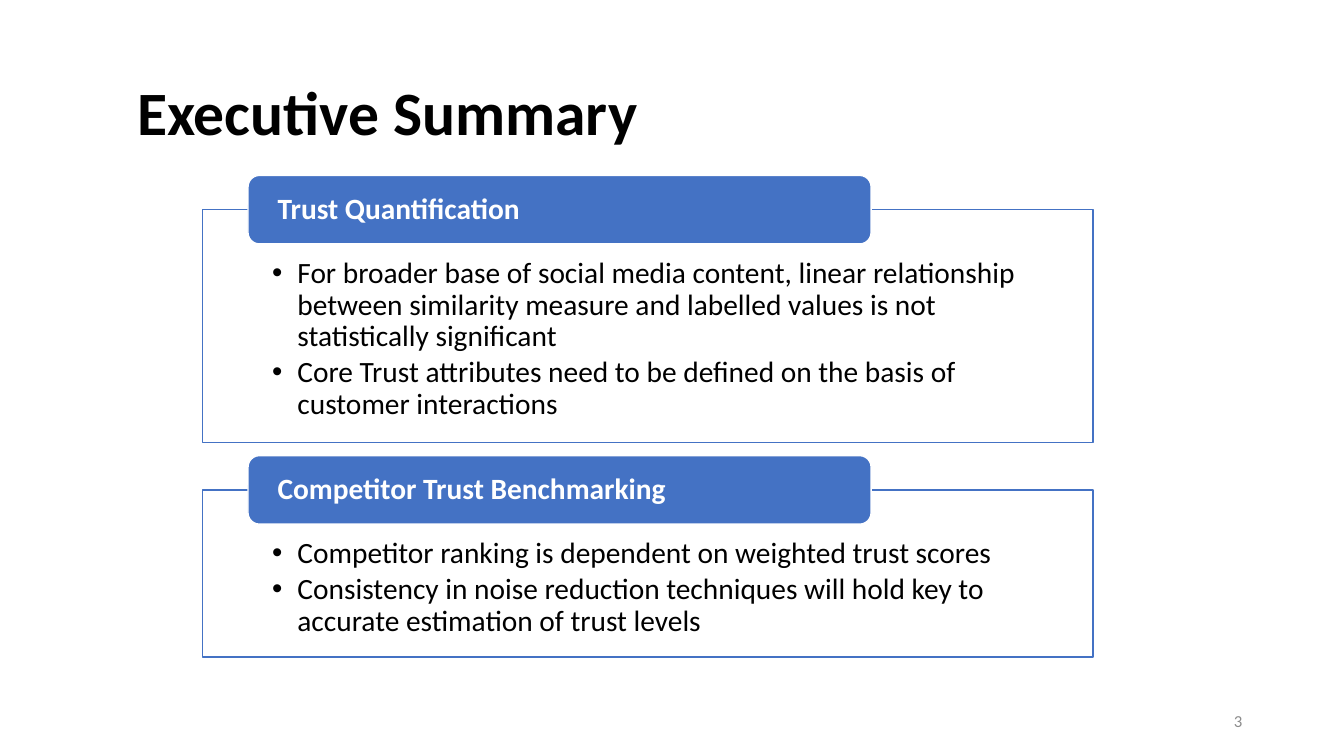
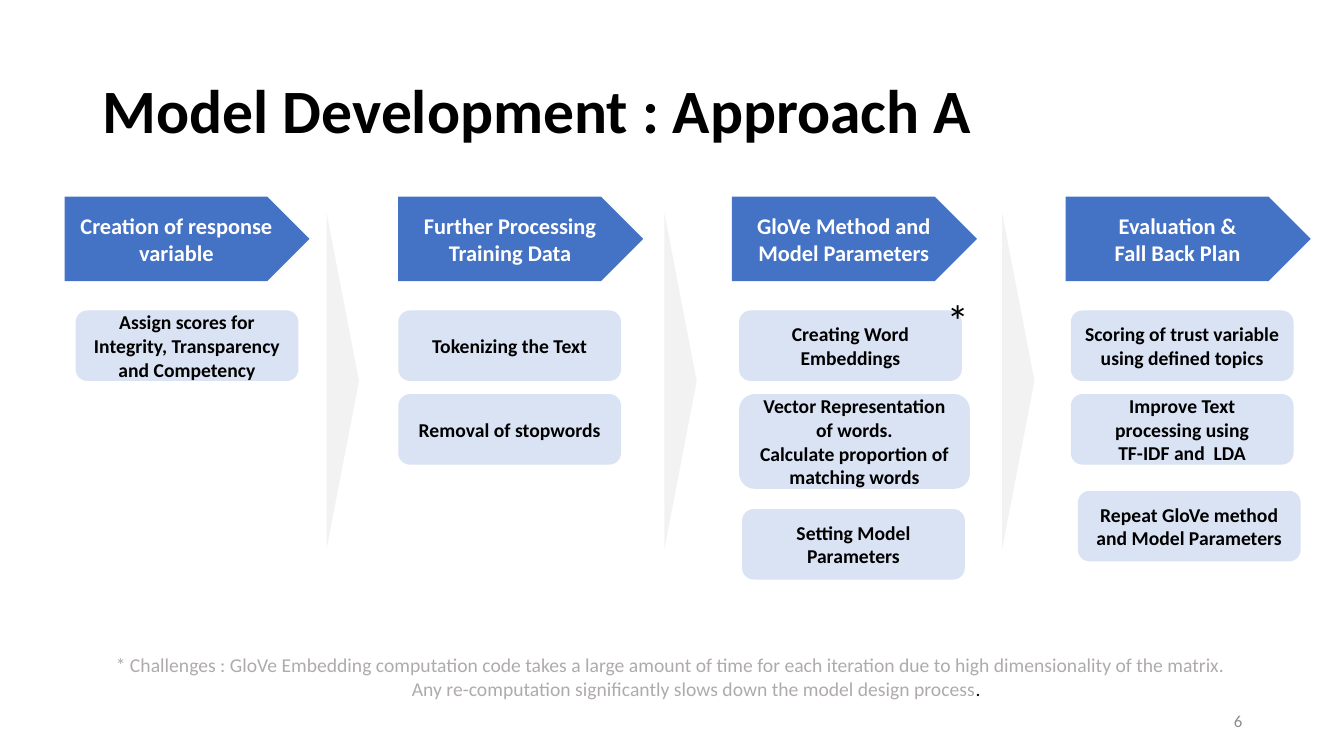
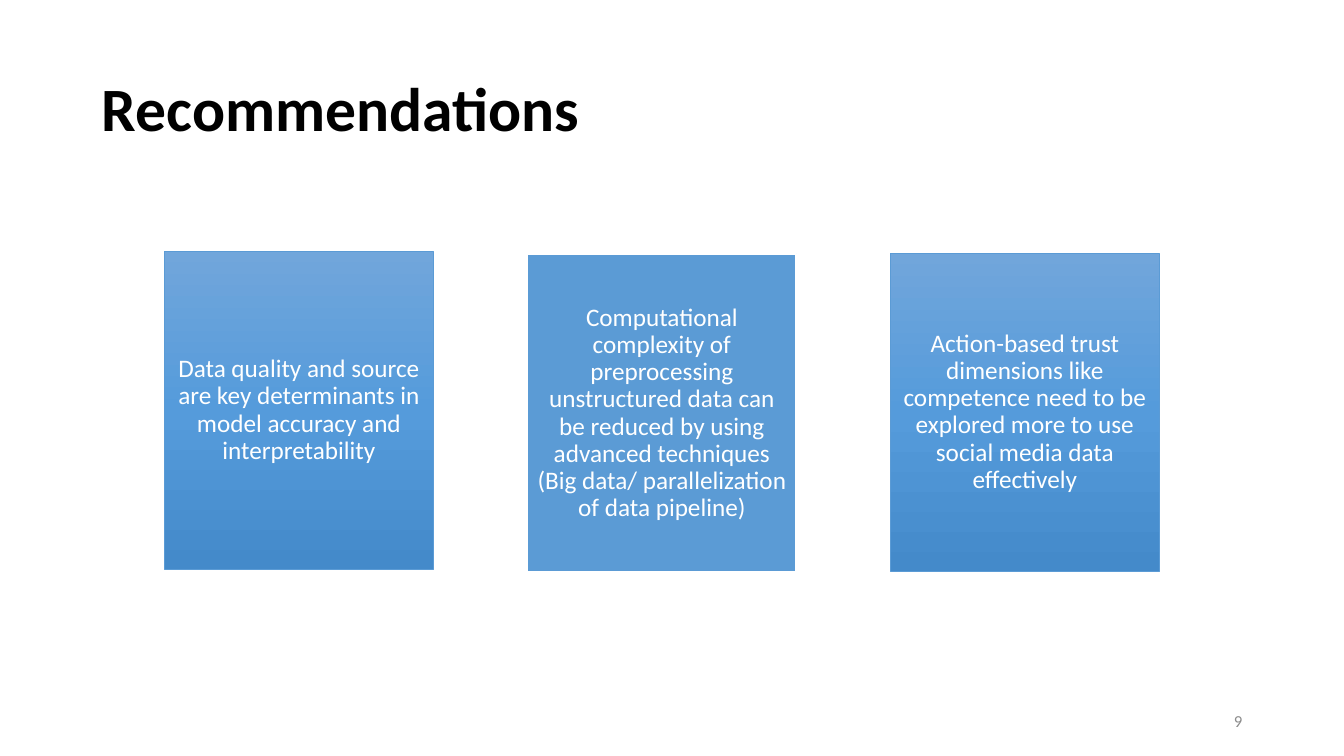
"""Builds three slides on trust modelling: summary, model steps and recommendations."""
from lxml.etree import SubElement
from pptx import Presentation
from pptx.dml.color import RGBColor
from pptx.enum.shapes import MSO_SHAPE
from pptx.enum.text import MSO_ANCHOR, MSO_AUTO_SIZE, PP_ALIGN
from pptx.oxml.ns import qn
from pptx.util import Inches, Pt

COLORS = {
    "black": "000000", "white": "FFFFFF", "blue": "4472C4", "pale": "DAE3F3",
    "wedge": "F2F2F2", "note": "AFABAB", "number": "8C8C8C", "sky": "5B9BD5",
    "sky_top": "71A6DB", "sky_middle": "559BDB", "sky_bottom": "448ACA",
}
FONT = "Calibri"
TWO_LISTS, TITLE_ONLY = 3, 5


def color(name):
    return RGBColor.from_string(COLORS[name])


class Deck:
    def __init__(self):
        self.show = Presentation()
        self.show.slide_width = Inches(13.33)
        self.show.slide_height = Inches(7.5)
        self.slide = None

    def place(self, part, box):
        part.left, part.top, part.width, part.height = map(Inches, box)

    def fill_text(self, frame, paragraphs, size, ink, bold=False, align=PP_ALIGN.LEFT,
                  anchor=MSO_ANCHOR.MIDDLE, spacing=1.0, insets=(0.1, 0.05, 0.1, 0.05)):
        frame.word_wrap = True
        frame.auto_size = MSO_AUTO_SIZE.NONE
        frame.vertical_anchor = anchor
        (frame.margin_left, frame.margin_top,
         frame.margin_right, frame.margin_bottom) = map(Inches, insets)
        for index, words in enumerate(paragraphs):
            paragraph = frame.paragraphs[0] if index == 0 else frame.add_paragraph()
            paragraph.alignment = align
            paragraph.line_spacing = spacing
            paragraph.space_before = Pt(0)
            self.add_words(paragraph, words, size, ink, bold)

    def add_words(self, paragraph, words, size, ink, bold=False):
        run = paragraph.add_run()
        run.text = words
        run.font.name = FONT
        run.font.size = Pt(size)
        run.font.bold = bold
        run.font.color.rgb = color(ink)

    def new_slide(self, title, box, number, layout=TITLE_ONLY):
        self.slide = self.show.slides.add_slide(self.show.slide_layouts[layout])
        heading = self.slide.shapes.title
        self.place(heading, box)
        self.fill_text(heading.text_frame, [title], 44, "black", bold=True, spacing=0.9)
        self.text((9.42, 6.95, 3, 0.4), [number], 12, "number", align=PP_ALIGN.RIGHT)

    def text(self, box, paragraphs, size, ink, **style):
        label = self.slide.shapes.add_textbox(*map(Inches, box))
        self.fill_text(label.text_frame, paragraphs, size, ink, **style)
        return label.text_frame

    def shape(self, kind, box, fill, line=None, line_width=1):
        figure = self.slide.shapes.add_shape(kind, *map(Inches, box))
        figure.shadow.inherit = False
        figure.fill.solid()
        figure.fill.fore_color.rgb = color(fill)
        self.outline(figure, line, line_width)
        return figure

    def outline(self, figure, line, width):
        if line is None:
            figure.line.fill.background()
        else:
            figure.line.color.rgb = color(line)
            figure.line.width = Pt(width)

    def step(self, kind, box, paragraphs, fill, size, ink):
        figure = self.shape(kind, box, fill)
        self.fill_text(figure.text_frame, paragraphs, size, ink, bold=True,
                       align=PP_ALIGN.CENTER)

    def wedge(self, center_x, center_y, length, depth):
        box = (center_x - length / 2, center_y - depth / 2, length, depth)
        self.shape(MSO_SHAPE.ISOSCELES_TRIANGLE, box, "wedge").rotation = 90

    def finding(self, slot, top, height, heading, points):
        panel = self.slide.placeholders[slot]
        self.place(panel, (2.01, top, 8.83, height))
        panel.fill.solid()
        panel.fill.fore_color.rgb = color("white")
        self.outline(panel, "blue", 1)
        self.fill_text(panel.text_frame, points, 21, "black", anchor=MSO_ANCHOR.TOP,
                       spacing=0.9, insets=(0.69, 0.48, 0.69, 0.16))
        for paragraph in panel.text_frame.paragraphs:
            paragraph.space_after = Pt(3)
            properties = paragraph._p.get_or_add_pPr()
            properties.set("marL", str(Inches(0.25)))
            properties.set("indent", str(-Inches(0.25)))
            SubElement(properties, qn("a:buChar")).set("char", "•")
        tab = self.shape(MSO_SHAPE.ROUNDED_RECTANGLE, (2.46, top - 0.34, 6.18, 0.68),
                         "blue", "white")
        self.fill_text(tab.text_frame, [heading], 21, "white", bold=True, spacing=0.9,
                       insets=(0.26, 0, 0.26, 0))

    def card(self, left, top, words, shaded):
        line, width = ("sky", 0.5) if shaded else ("white", 1.5)
        figure = self.shape(MSO_SHAPE.RECTANGLE, (left, top, 2.67, 3.16), "sky", line, width)
        if shaded:
            self.shade(figure, ("sky_top", "sky_middle", "sky_bottom"))
        self.fill_text(figure.text_frame, [words], 18, "white", align=PP_ALIGN.CENTER,
                       spacing=0.9, insets=(0.07,) * 4)

    def shade(self, figure, names):
        figure.fill.gradient()
        figure.fill.gradient_angle = 270
        stops = figure.element.spPr.find(qn("a:gradFill")).find(qn("a:gsLst"))
        for stop in list(stops):
            stops.remove(stop)
        for index, name in enumerate(names):
            stop = SubElement(stops, qn("a:gs"))
            stop.set("pos", str(100000 * index // (len(names) - 1)))
            SubElement(stop, qn("a:srgbClr")).set("val", COLORS[name])


def summary(deck):
    deck.new_slide("Executive Summary", (1.26, 0.42, 8.17, 1.45), "3", TWO_LISTS)
    deck.finding(1, 2.08, 2.31, "Trust Quantification", [
        "For broader base of social media content, linear relationship between "
        "similarity measure and labelled values is not statistically significant",
        "Core Trust attributes need to be defined on the basis of customer interactions",
    ])
    deck.finding(2, 4.86, 1.66, "Competitor Trust Benchmarking", [
        "Competitor ranking is dependent on weighted trust scores",
        "Consistency in noise reduction techniques will hold key to accurate "
        "estimation of trust levels",
    ])


def model_steps(deck):
    deck.new_slide("Model Development : Approach A", (0.92, 0.4, 11.5, 1.45), "6")
    phases = [
        ["Creation of response variable"],
        ["Further Processing Training Data"],
        ["GloVe Method and Model Parameters"],
        ["Evaluation &", "Fall Back Plan"],
    ]
    for index, phase in enumerate(phases):
        deck.step(MSO_SHAPE.PENTAGON, (0.64 + 3.31 * index, 1.95, 2.43, 0.84),
                  phase, "blue", 16, "white")
    for index in range(len(phases) - 1):
        deck.wedge(3.4 + 3.35 * index, 3.78, 3.33, 0.32)

    width, height, first, second = 2.21, 0.7, 3.08, 3.91
    tasks = [
        (0.75, first, width, height,
         ["Assign scores for Integrity, Transparency and Competency"]),
        (3.95, first, width, height, ["Tokenizing the Text"]),
        (3.95, second, width, height, ["Removal of stopwords"]),
        (7.33, first, width, height, ["Creating Word Embeddings"]),
        (7.33, second, 2.29, 0.94,
         ["Vector Representation of words.", "Calculate proportion of matching words"]),
        (7.36, 5.05, width, height, ["Setting Model Parameters"]),
        (10.62, first, width, height, ["Scoring of trust variable using defined topics"]),
        (10.62, second, width, height,
         ["Improve Text processing using", "TF-IDF and  LDA"]),
        (10.69, 4.87, width, height, ["Repeat GloVe method and Model Parameters"]),
    ]
    for *box, task in tasks:
        deck.step(MSO_SHAPE.ROUNDED_RECTANGLE, box, task, "pale", 14, "black")

    deck.text((9.29, 2.86, 0.43, 0.64), ["*"], 32, "black", anchor=MSO_ANCHOR.TOP)
    challenges = deck.text((1.05, 6.43, 11.71, 0.57), [
        "* Challenges : GloVe Embedding computation code takes a large amount of time "
        "for each iteration due to high dimensionality of the matrix.",
        "Any re-computation significantly slows down the model design process",
    ], 14, "note", align=PP_ALIGN.JUSTIFY, anchor=MSO_ANCHOR.TOP)
    closing = challenges.paragraphs[1]
    closing.alignment = PP_ALIGN.CENTER
    deck.add_words(closing, ".", 14, "black")


def recommendations(deck):
    deck.new_slide("Recommendations", (0.91, 0.38, 11.5, 1.45), "9")
    deck.card(1.63, 2.49, "Data quality and source are key determinants in model "
              "accuracy and interpretability", True)
    deck.card(5.23, 2.52, "Computational complexity of preprocessing unstructured data "
              "can be reduced by using advanced techniques (Big data/ parallelization "
              "of data pipeline)", False)
    deck.card(8.83, 2.51, "Action-based trust dimensions like competence need to be "
              "explored more to use social media data effectively", True)


def main():
    deck = Deck()
    for build in (summary, model_steps, recommendations):
        build(deck)
    deck.show.save("out.pptx")


if __name__ == "__main__":
    main()
